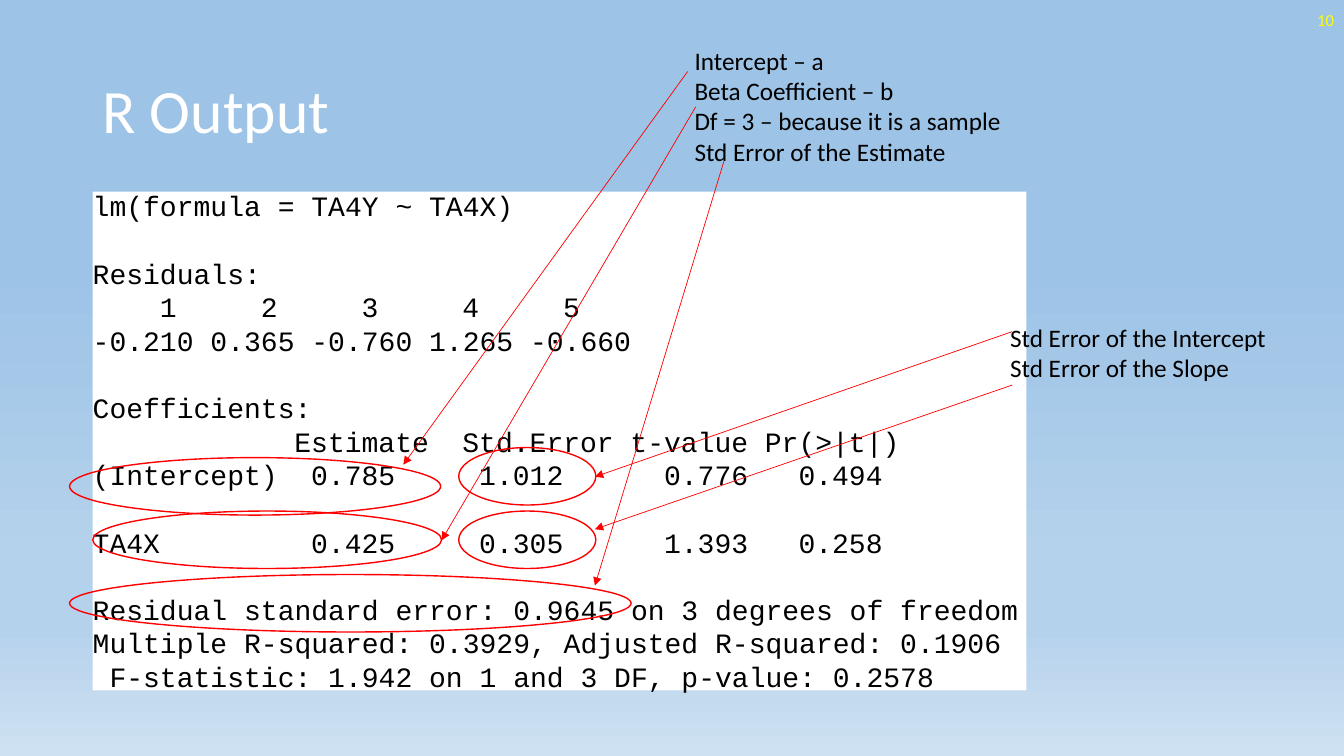
import dataclasses

import lxml.etree
import pptx
import pptx.dml.color
import pptx.enum.shapes
import pptx.enum.text
import pptx.oxml.ns
import pptx.util

Inches = pptx.util.Inches
Pt = pptx.util.Pt
qn = pptx.oxml.ns.qn
MIDDLE = pptx.enum.text.MSO_ANCHOR.MIDDLE
TOP = pptx.enum.text.MSO_ANCHOR.TOP

COLORS = {"panel": "FFFFFF", "title": "FFFFFF", "text": "000000",
          "number": "FFFF00", "mark": "FF0000"}
SKY = [(35, "9DC3E6"), (74, "B5D2EC"), (83, "B5D2EC"), (100, "CEE1F2")]
CHAR_WIDTH = 1 / 6  # one 20 pt Courier New character, in inches
LINE_HEIGHT = 24  # points


@dataclasses.dataclass
class Label:
    box: tuple[float, float, float, float]
    lines: list[str]
    size: int
    color: str = "text"
    anchor: pptx.enum.text.MSO_ANCHOR = TOP
    align: pptx.enum.text.PP_ALIGN = pptx.enum.text.PP_ALIGN.LEFT
    spacing: float = 1.0


@dataclasses.dataclass
class OutputLine:
    text: str
    columns: tuple[int, ...] = ()  # character positions of the tab stops
    gap: bool = False  # one line of space above


@dataclasses.dataclass
class Oval:
    left: float
    top: float
    width: float


@dataclasses.dataclass
class Arrow:
    start: tuple[float, float]
    end: tuple[float, float]


def rgb(name: str) -> pptx.dml.color.RGBColor:
    return pptx.dml.color.RGBColor.from_string(COLORS[name])


def add_run(paragraph, text: str, font: str, size: int, color: str) -> None:
    run = paragraph.add_run()
    run.text = text
    run.font.name = font
    run.font.size = Pt(size)
    run.font.color.rgb = rgb(color)


def paint_background(slide) -> None:
    fill = slide.background.fill
    fill.gradient()
    fill.gradient_angle = 270
    stops = slide.background._cSld.find(".//" + qn("a:gsLst"))
    for stop in list(stops):
        stops.remove(stop)
    for position, color in SKY:
        stop = lxml.etree.SubElement(stops, qn("a:gs"), pos=str(position * 1000))
        lxml.etree.SubElement(stop, qn("a:srgbClr"), val=color)


def add_label(slide, label: Label) -> None:
    frame = slide.shapes.add_textbox(*map(Inches, label.box)).text_frame
    frame.word_wrap = True
    frame.vertical_anchor = label.anchor
    for index, line in enumerate(label.lines):
        paragraph = frame.add_paragraph() if index else frame.paragraphs[0]
        paragraph.alignment = label.align
        paragraph.line_spacing = label.spacing
        add_run(paragraph, line, "Calibri", label.size, label.color)


def add_output(slide, lines: list[OutputLine]) -> None:
    panel = slide.shapes.add_shape(
        pptx.enum.shapes.MSO_SHAPE.RECTANGLE,
        Inches(0.92), Inches(1.9), Inches(9.26), Inches(4.95))
    panel.top, panel.height = Inches(1.9), Inches(4.95)
    panel.shadow.inherit = False
    panel.fill.solid()
    panel.fill.fore_color.rgb = rgb("panel")
    panel.line.fill.background()
    frame = panel.text_frame
    frame.word_wrap = False
    frame.vertical_anchor = MIDDLE
    frame.margin_left = frame.margin_right = 0
    frame.margin_top = frame.margin_bottom = 0
    for index, line in enumerate(lines):
        paragraph = frame.add_paragraph() if index else frame.paragraphs[0]
        paragraph.alignment = pptx.enum.text.PP_ALIGN.LEFT
        paragraph.line_spacing = Pt(LINE_HEIGHT)
        paragraph.space_before = Pt(LINE_HEIGHT if line.gap else 0)
        if line.columns:
            tabs = lxml.etree.SubElement(
                paragraph._p.get_or_add_pPr(), qn("a:tabLst"))
            for column in line.columns:
                lxml.etree.SubElement(tabs, qn("a:tab"), algn="l",
                                      pos=str(Inches(column * CHAR_WIDTH)))
        add_run(paragraph, line.text, "Courier New", 20, "text")


def add_oval(slide, oval: Oval) -> None:
    ring = slide.shapes.add_shape(
        pptx.enum.shapes.MSO_SHAPE.OVAL, Inches(oval.left), Inches(oval.top),
        Inches(oval.width), Inches(0.57))
    ring.shadow.inherit = False
    ring.fill.background()
    ring.line.color.rgb = rgb("mark")
    ring.line.width = Pt(1)


def add_arrow(slide, arrow: Arrow) -> None:
    pointer = slide.shapes.add_connector(
        pptx.enum.shapes.MSO_CONNECTOR.STRAIGHT,
        *map(Inches, arrow.start + arrow.end))
    pointer.line.color.rgb = rgb("mark")
    pointer.line.width = Pt(0.5)
    lxml.etree.SubElement(pointer.line._get_or_add_ln(), qn("a:tailEnd"),
                          type="triangle")
    lxml.etree.SubElement(pointer._element.spPr, qn("a:effectLst"))


HEADINGS = (12, 22, 32, 40)
VALUES = (13, 23, 34, 42)
OUTPUT = [
    OutputLine("lm(formula = TA4Y ~ TA4X)"),
    OutputLine("Residuals:", gap=True),
    OutputLine("\t1\t2\t3\t4\t5", tuple(range(4, 29, 6))),
    OutputLine("-0.210 0.365 -0.760 1.265 -0.660"),
    OutputLine("Coefficients:", gap=True),
    OutputLine("\tEstimate\tStd.Error\tt-value\tPr(>|t|)", HEADINGS),
    OutputLine("(Intercept)\t0.785\t1.012\t0.776\t0.494", VALUES),
    OutputLine("TA4X\t0.425\t0.305\t1.393\t0.258", VALUES, gap=True),
    OutputLine("Residual standard error: 0.9645 on 3 degrees of freedom", gap=True),
    OutputLine("Multiple R-squared: 0.3929, Adjusted R-squared: 0.1906"),
    OutputLine(" F-statistic: 1.942 on 1 and 3 DF, p-value: 0.2578"),
]
HEADER = [
    Label((0.92, 0.4, 11.5, 1.45), ["R Output"], 44, "title", MIDDLE, spacing=0.9),
    Label((10.33, 0, 3, 0.4), ["10"], 12, "number", MIDDLE,
          pptx.enum.text.PP_ALIGN.RIGHT),
]
NOTES = [
    Label((6.79, 0.4, 5.04, 1.31),
          ["Intercept – a", "Beta Coefficient – b",
           "Df = 3 – because it is a sample", "Std Error of the Estimate"], 18),
    Label((9.92, 3.15, 3, 0.71),
          ["Std Error of the Intercept", "Std Error of the Slope"], 18),
]
OVALS = [Oval(0.69, 4.54, 3.68), Oval(0.92, 5.07, 3.46), Oval(0.69, 5.7, 5.57),
         Oval(4.55, 5.07, 1.36), Oval(4.55, 4.44, 1.36)]
ARROWS = [
    Arrow((7.18, 1.6), (5.9, 5.81)),
    Arrow((6.9, 1.06), (4.38, 5.36)),
    Arrow((6.82, 0.71), (4, 4.61)),
    Arrow((10.04, 3.29), (5.9, 4.73)),
    Arrow((10.04, 3.82), (5.9, 5.25)),
]

# Slide and background
deck = pptx.Presentation()
deck.slide_width, deck.slide_height = Inches(13.33), Inches(7.5)
regression = deck.slides.add_slide(deck.slide_layouts[6])
paint_background(regression)

# Title, slide number and console output
for heading in HEADER:
    add_label(regression, heading)
add_output(regression, OUTPUT)

# Marked values and their explanations
for marked in OVALS:
    add_oval(regression, marked)
for note in NOTES:
    add_label(regression, note)
for link in ARROWS:
    add_arrow(regression, link)

deck.save("out.pptx")
